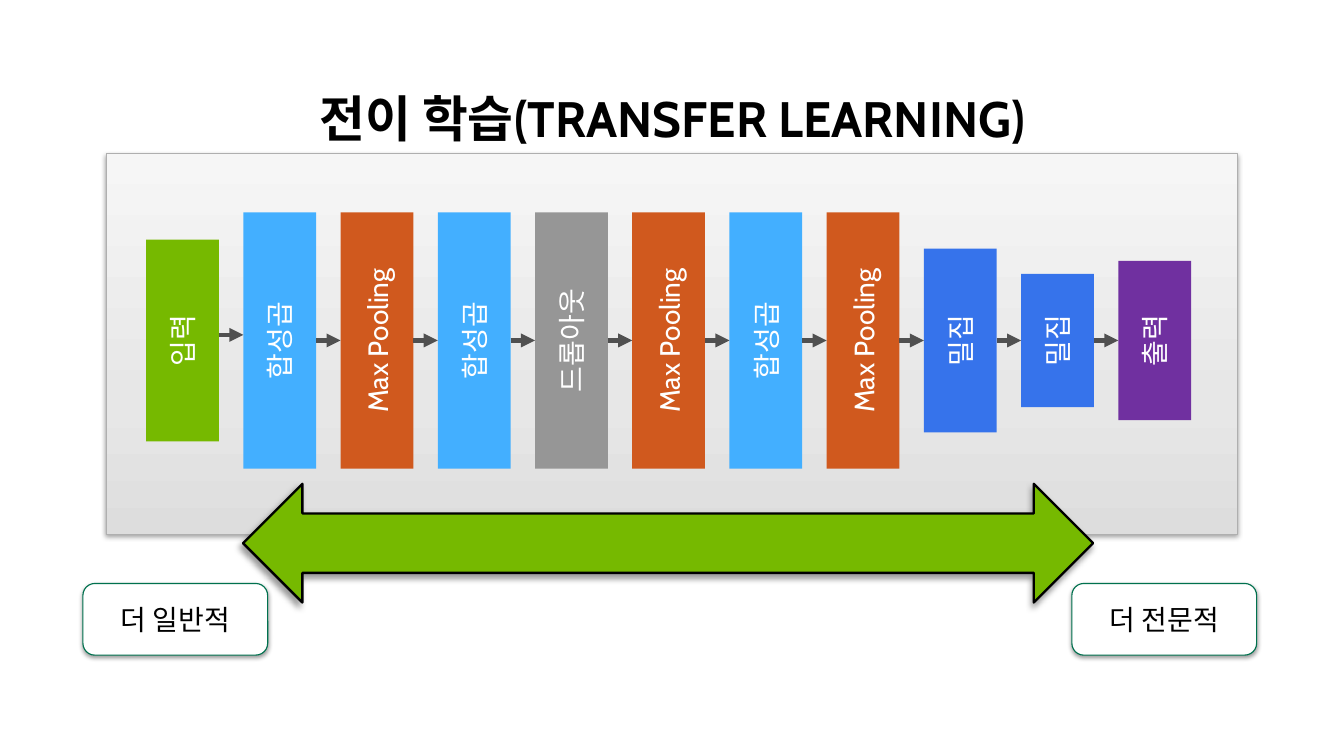
from lxml import etree
from copy import deepcopy
from pptx import Presentation
from pptx.dml.color import RGBColor
from pptx.enum.shapes import MSO_CONNECTOR, MSO_SHAPE
from pptx.enum.text import MSO_ANCHOR, MSO_AUTO_SIZE, PP_ALIGN
from pptx.oxml import parse_xml
from pptx.oxml.ns import nsdecls, qn
from pptx.util import Inches, Pt

RECT = MSO_SHAPE.RECTANGLE
ROUND = MSO_SHAPE.ROUNDED_RECTANGLE
DOUBLE_ARROW = MSO_SHAPE.LEFT_RIGHT_ARROW
STRAIGHT = MSO_CONNECTOR.STRAIGHT
CENTER = PP_ALIGN.CENTER
MIDDLE, BOTTOM = MSO_ANCHOR.MIDDLE, MSO_ANCHOR.BOTTOM
NO_FIT = MSO_AUTO_SIZE.NONE

BLUE, ORANGE, GREEN = "43AFFF", "D0591E", "76B900"
GRAY, DENSE, PURPLE = "969696", "3673EB", "7030A0"
SOFT_SHADOW = (38, 3.1, 1.6, 90)
ARROW_SHADOW = (40, 4, 3, 135)

LAYERS = [
    ("입력", 1.8, GREEN),
    ("합성곱", 2.29, BLUE),
    ("Max Pooling", 2.29, ORANGE),
    ("합성곱", 2.29, BLUE),
    ("드롭아웃", 2.29, GRAY),
    ("Max Pooling", 2.29, ORANGE),
    ("합성곱", 2.29, BLUE),
    ("Max Pooling", 2.29, ORANGE),
    ("밀집", 1.64, DENSE),
    ("밀집", 1.19, DENSE),
    ("출력", 1.42, PURPLE),
]
FIRST_X, LAST_X, MID_Y, THICK = 1.63, 10.31, 3.04, 0.65
PITCH = (LAST_X - FIRST_X) / (len(LAYERS) - 1)


def rgb(value):
    return RGBColor.from_string(value)


class Deck:
    font = "Cabin"

    def __init__(self, slide):
        self.s = slide

    def text(self, sp, text, size, color, bold=False, anchor=MIDDLE):
        tf = sp.text_frame
        tf.word_wrap = True
        tf.auto_size = NO_FIT
        tf.vertical_anchor = anchor
        p = tf.paragraphs[0]
        p.alignment = CENTER
        r = p.add_run()
        r.text = text
        r.font.name = self.font
        r.font.size = Pt(size)
        r.font.bold = bold
        r.font.color.rgb = rgb(color)
        return p

    def title(self, text, x, y, w, h):
        sp = self.s.shapes.title
        sp.left, sp.top, sp.width, sp.height = map(Inches, (x, y, w, h))
        p = self.text(sp, text, 32, "000000", True, BOTTOM)
        p.line_spacing = 0.9

    def shape(self, kind, x, y, w, h, fill, line=None, width=0.75, shadow=None):
        sp = self.s.shapes.add_shape(kind, *map(Inches, (x, y, w, h)))
        sp.shadow.inherit = False
        sp.fill.solid()
        sp.fill.fore_color.rgb = rgb(fill)
        if line:
            sp.line.color.rgb = rgb(line)
            sp.line.width = Pt(width)
        else:
            sp.line.fill.background()
        if shadow:
            self.shadow(sp, *shadow)
        return sp

    def shadow(self, sp, alpha, blur, dist, angle):
        effects = sp._element.spPr.find(qn("a:effectLst"))
        effects.append(parse_xml(
            f'<a:outerShdw {nsdecls("a")} blurRad="{Pt(blur)}" dist="{Pt(dist)}" '
            f'dir="{angle * 60000}" rotWithShape="0"><a:srgbClr val="000000">'
            f'<a:alpha val="{alpha * 1000}"/></a:srgbClr></a:outerShdw>'))

    def gradient(self, sp, stops, angle):
        sp.fill.gradient()
        sp.fill.gradient_angle = angle
        gs_list = sp._element.spPr.find(".//" + qn("a:gsLst"))
        while len(gs_list) < len(stops):
            gs_list.append(deepcopy(gs_list[0]))
        for stop, (position, color) in zip(sp.fill.gradient_stops, stops):
            stop.position = position
            stop.color.rgb = rgb(color)

    def layer(self, text, x, length, color):
        sp = self.shape(RECT, x - length / 2, MID_Y - THICK / 2, length, THICK, color)
        sp.rotation = 270
        self.text(sp, text, 18, "FFFFFF")
        return sp

    def arrow(self, x1, x2, y, source=None, target=None):
        c = self.s.shapes.add_connector(STRAIGHT, *map(Inches, (x1, y, x2, y)))
        if source and target:
            c.begin_connect(source, 2)
            c.end_connect(target, 0)
            c.begin_x, c.end_x = Inches(x1), Inches(x2)
            c.begin_y = c.end_y = Inches(y)
        c.line.color.rgb = rgb("505050")
        c.line.width = Pt(3)
        etree.SubElement(c.line._get_or_add_ln(), qn("a:tailEnd"), type="triangle")
        etree.SubElement(c._element.spPr, qn("a:effectLst"))

    def label(self, text, x):
        sp = self.shape(ROUND, x, 5.21, 1.65, 0.64, "FFFFFF", "00714E",
                        shadow=SOFT_SHADOW)
        self.text(sp, text, 18, "000000")


def main():
    prs = Presentation()
    prs.slide_width, prs.slide_height = Inches(12), Inches(6.75)
    deck = Deck(prs.slides.add_slide(prs.slide_layouts[5]))
    deck.title("전이 학습(TRANSFER LEARNING)", 0.55, 0.72, 10.91, 0.65)

    panel = deck.shape(RECT, 0.95, 1.37, 10.1, 3.4, "DDDDDD", "AFAFAF",
                       shadow=SOFT_SHADOW)
    deck.gradient(panel, [(0, "DDDDDD"), (0.35, "E7E7E7"), (1, "F6F6F6")], 90)

    centers = [FIRST_X + i * PITCH for i in range(len(LAYERS))]
    blocks = [deck.layer(text, x, length, color)
              for x, (text, length, color) in zip(centers, LAYERS)]
    for i in range(len(blocks) - 1):
        x1, x2 = centers[i] + THICK / 2, centers[i + 1] - THICK / 2
        if i == 0:
            deck.arrow(x1, x2, 2.99)
        else:
            deck.arrow(x1, x2, MID_Y, blocks[i], blocks[i + 1])

    deck.shape(DOUBLE_ARROW, 2.17, 4.32, 7.59, 1.06, GREEN, "000000", 1.5,
               ARROW_SHADOW)
    deck.label("더 일반적", 0.74)
    deck.label("더 전문적", 9.57)
    prs.save("out.pptx")


if __name__ == "__main__":
    main()
